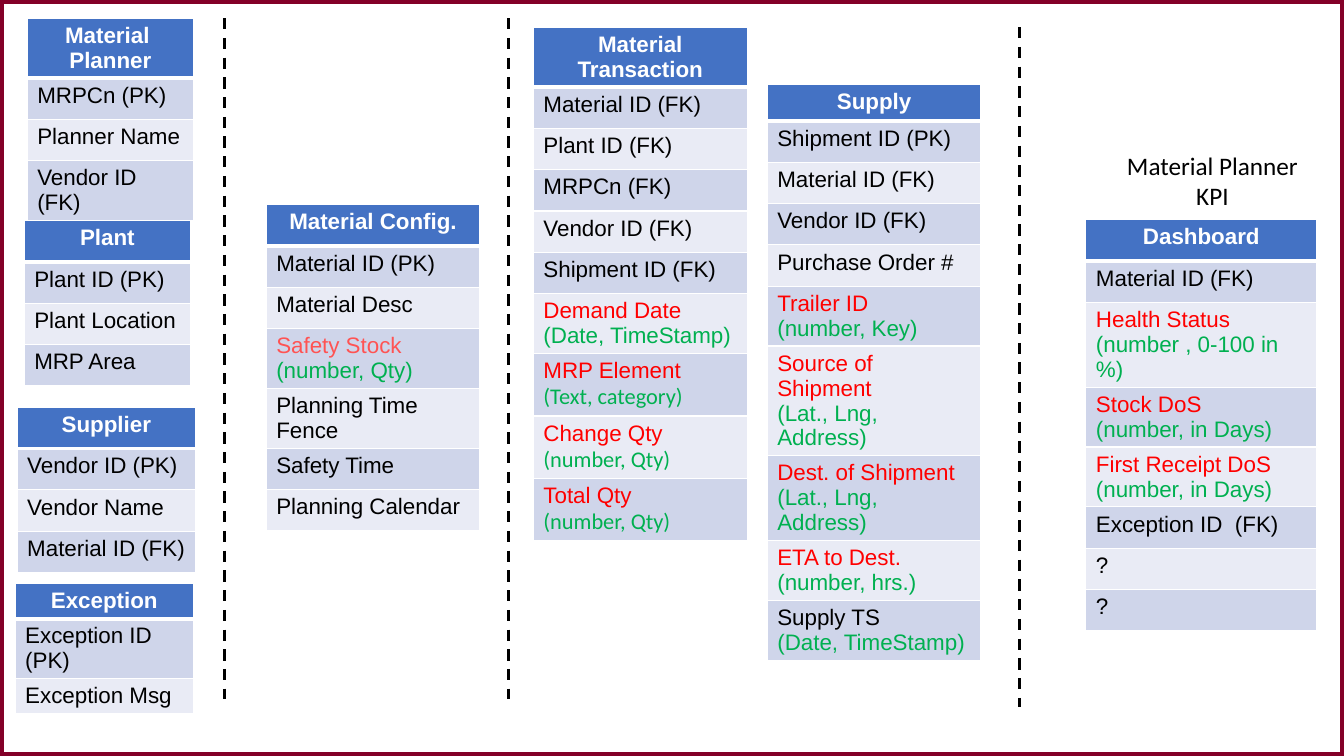
from lxml import etree
from pptx import Presentation
from pptx.dml.color import RGBColor
from pptx.enum.dml import MSO_LINE
from pptx.enum.shapes import MSO_CONNECTOR, MSO_SHAPE
from pptx.enum.text import MSO_AUTO_SIZE, PP_ALIGN
from pptx.oxml.ns import qn
from pptx.util import Inches, Pt

CENTER, LEFT = PP_ALIGN.CENTER, PP_ALIGN.LEFT
STRAIGHT, RECTANGLE, DASH = MSO_CONNECTOR.STRAIGHT, MSO_SHAPE.RECTANGLE, MSO_LINE.DASH
FIT_SHAPE = MSO_AUTO_SIZE.SHAPE_TO_FIT_TEXT

WIDTH, HEIGHT = 13.33, 7.5
ROW_HEIGHT = 0.41
FRAME, WHITE, BLACK = "830028", "FFFFFF", "000000"
HEADER_FILL, ROW_FILLS = "4472C4", ("CFD5EA", "E9EBF5")
RED, LIGHT_RED, GREEN = "FF0000", "FF5353", "00B050"

# Each field is a name, or (name, type, name colour, type font).


def typed(name, detail, color=RED, font="Arial"):
    return name, detail, color, font


TABLES = [
    {"at": (0.27, 0.18), "width": 1.65, "title": "Material \nPlanner",
     "fields": ["MRPCn (PK)", "Planner Name", "Vendor ID (FK)"]},
    {"at": (0.17, 4.04), "width": 1.77, "title": "Supplier",
     "fields": ["Vendor ID (PK)", "Vendor Name", "Material ID (FK)"]},
    {"at": (2.64, 2.03), "width": 2.12, "title": "Material Config.",
     "fields": ["Material ID (PK)", "Material Desc",
                typed("Safety Stock", "(number, Qty)", LIGHT_RED),
                "Planning Time Fence", "Safety Time", "Planning Calendar"]},
    {"at": (0.15, 5.79), "width": 1.77, "title": "Exception",
     "fields": ["Exception ID (PK)", "Exception Msg"],
     "heights": {0: 0.3, 2: 0}},
    {"at": (10.77, 2.18), "width": 2.29, "title": "Dashboard",
     "fields": ["Material ID (FK)",
                typed("Health Status", "(number , 0-100 in %)"),
                typed("Stock DoS", "(number, in Days)"),
                typed("First Receipt DoS", "(number, in Days)"),
                "Exception ID  (FK)", "?", "?"]},
    {"at": (0.24, 2.19), "width": 1.65, "title": "Plant",
     "fields": ["Plant ID (PK)", "Plant Location", "MRP Area"]},
    {"at": (5.29, 0.27), "width": 2.12, "title": "Material Transaction",
     "fields": ["Material ID (FK)", "Plant ID (FK)", "MRPCn (FK)",
                "Vendor ID (FK)", "Shipment ID (FK)",
                typed("Demand Date", "(Date, TimeStamp)"),
                typed("MRP Element", "(Text, category)", font="Calibri"),
                typed("Change Qty", "(number, Qty)", font="Calibri"),
                typed("Total Qty", "(number, Qty)", font="Calibri")],
     "heights": {9: 0.24}},
    {"at": (7.61, 0.84), "width": 2.12, "title": "Supply",
     "fields": ["Shipment ID (PK)", "Material ID (FK)", "Vendor ID (FK)",
                "Purchase Order #",
                typed("Trailer ID", "(number, Key)"),
                typed("Source of Shipment", "(Lat., Lng, Address)"),
                typed("Dest. of Shipment", "(Lat., Lng, Address)"),
                typed("ETA to Dest.", "(number, hrs.)"),
                typed("Supply TS", "(Date, TimeStamp)", BLACK)],
     "heights": {0: 0.36}},
]
DIVIDERS = [(2.23, 0.18, 6.93), (5.04, 0.18, 6.93), (10.11, 0.27, 7.01)]
KPI_LABEL = {"at": (11.07, 1.44, 1.91, 0.71), "text": "Material Planner\nKPI"}


def rgb(value):
    return RGBColor.from_string(value)


def format_paragraph(paragraph, size, color, font="Arial", bold=False, align=LEFT):
    paragraph.alignment = align
    for run in paragraph.runs:
        run.font.size = Pt(size)
        run.font.name = font
        run.font.bold = bold
        run.font.color.rgb = rgb(color)


def add_borders(cell, top, bottom):
    properties = cell._tc.get_or_add_tcPr()
    for side, points in (("L", 1), ("R", 1), ("T", top), ("B", bottom)):
        line = etree.SubElement(properties, qn(f"a:ln{side}"), w=str(Pt(points)))
        fill = etree.SubElement(line, qn("a:solidFill"))
        etree.SubElement(fill, qn("a:srgbClr"), val=WHITE)


def fill_cell(cell, color):
    cell.fill.solid()
    cell.fill.fore_color.rgb = rgb(color)


def add_entity(slide, entity):
    fields = entity["fields"]
    special = entity.get("heights", {})
    heights = [special.get(row, ROW_HEIGHT) for row in range(len(fields) + 1)]
    left, top = entity["at"]
    table = slide.shapes.add_table(
        len(heights), 1, Inches(left), Inches(top),
        Inches(entity["width"]), Inches(sum(heights))).table
    for row, height in zip(table.rows, heights):
        row.height = Inches(height)

    header = table.cell(0, 0)
    header.text_frame.text = entity["title"]
    for paragraph in header.text_frame.paragraphs:
        format_paragraph(paragraph, 16, WHITE, bold=True, align=CENTER)
    add_borders(header, 1, 3)
    fill_cell(header, HEADER_FILL)

    for index, field in enumerate(fields):
        cell = table.cell(index + 1, 0)
        if isinstance(field, str):
            cell.text_frame.text = field
            styles = [(BLACK, "Arial")]
        else:
            name, detail, color, font = field
            cell.text_frame.text = f"{name}\n{detail}"
            styles = [(color, "Arial"), (GREEN, font)]
        for paragraph, (color, font) in zip(cell.text_frame.paragraphs, styles):
            format_paragraph(paragraph, 16, color, font)
        add_borders(cell, 3 if index == 0 else 1, 1)
        fill_cell(cell, ROW_FILLS[index % 2])


def add_divider(slide, x, top, bottom):
    divider = slide.shapes.add_connector(
        STRAIGHT, Inches(x), Inches(top), Inches(x), Inches(bottom))
    divider.line.color.rgb = rgb(BLACK)
    divider.line.width = Pt(2)
    divider.line.dash_style = DASH
    etree.SubElement(divider._element.spPr, qn("a:effectLst"))


def main():
    presentation = Presentation()
    presentation.slide_width = Inches(WIDTH)
    presentation.slide_height = Inches(HEIGHT)
    slide = presentation.slides.add_slide(presentation.slide_layouts[6])

    frame = slide.shapes.add_shape(RECTANGLE, 0, 0, Inches(WIDTH), Inches(HEIGHT))
    frame.shadow.inherit = False
    frame.fill.background()
    frame.line.color.rgb = rgb(FRAME)
    frame.line.width = Pt(6)

    for entity in TABLES:
        add_entity(slide, entity)
    for divider in DIVIDERS:
        add_divider(slide, *divider)

    label = slide.shapes.add_textbox(*map(Inches, KPI_LABEL["at"])).text_frame
    label.word_wrap = False
    label.auto_size = FIT_SHAPE
    label.text = KPI_LABEL["text"]
    for paragraph in label.paragraphs:
        format_paragraph(paragraph, 18, BLACK, "Calibri", align=CENTER)

    presentation.save("out.pptx")


if __name__ == "__main__":
    main()
